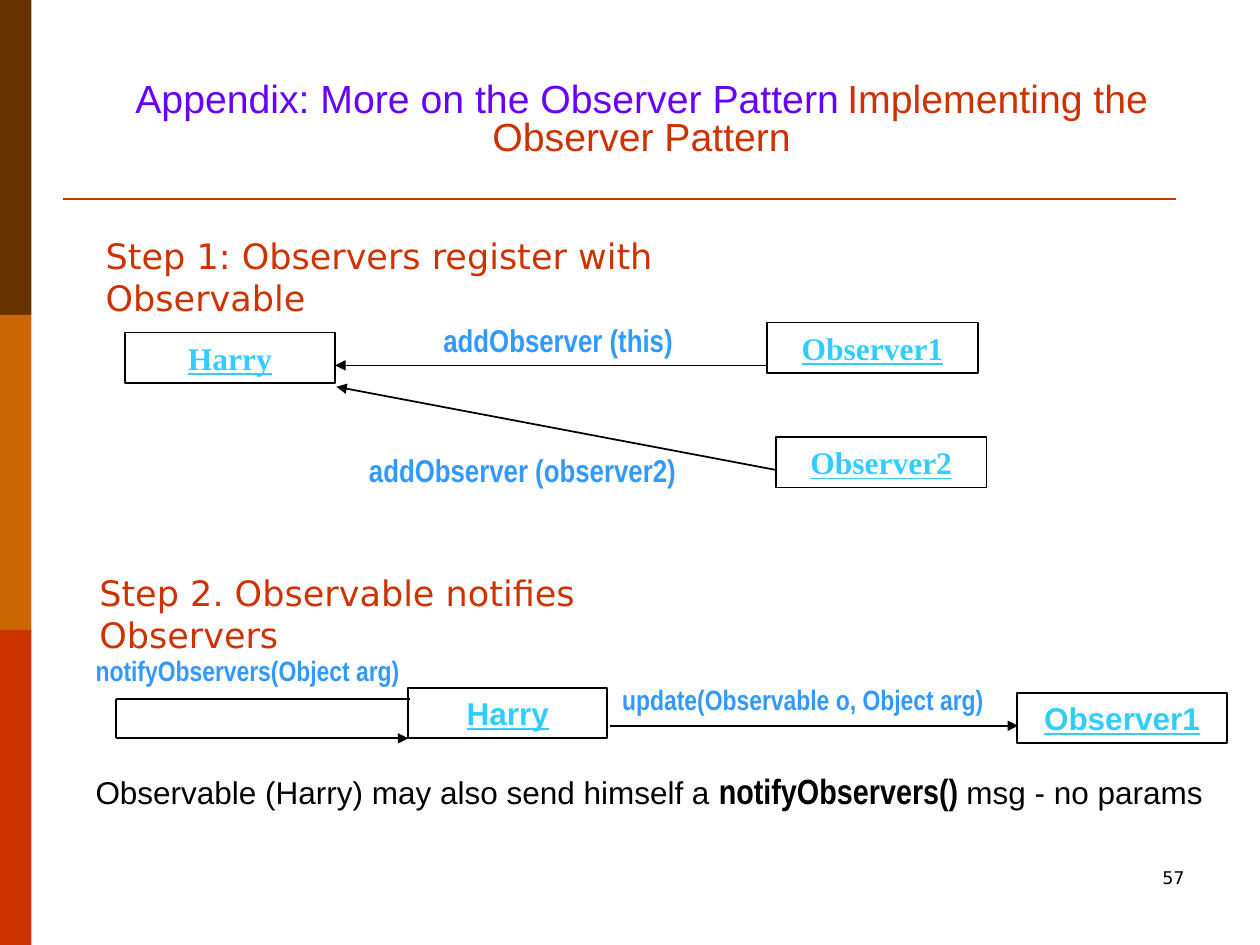
from pptx import Presentation
from pptx.dml.color import RGBColor
from pptx.enum.shapes import MSO_CONNECTOR, MSO_SHAPE
from pptx.enum.text import MSO_ANCHOR, MSO_AUTO_SIZE, PP_ALIGN
from pptx.oxml.ns import qn
from pptx.util import Inches, Pt
from lxml import etree

STRAIGHT = MSO_CONNECTOR.STRAIGHT
RECTANGLE = MSO_SHAPE.RECTANGLE
LEFT, CENTER, RIGHT = PP_ALIGN.LEFT, PP_ALIGN.CENTER, PP_ALIGN.RIGHT
TOP, MIDDLE = MSO_ANCHOR.TOP, MSO_ANCHOR.MIDDLE
NO_AUTOFIT = MSO_AUTO_SIZE.NONE

COLORS = {
    "brown": "663300", "orange": "CC6600", "red": "CC3300", "violet": "6600FF",
    "blue": "3399FF", "cyan": "33CCFF", "black": "000000",
}
SANS, NARROW, SERIF, WIDE = "Arial", "Arial Narrow", "Times New Roman", "DejaVu Sans"


def write_text(shape, spans, align=LEFT, anchor=TOP):
    """Fill a shape with one paragraph of (text, font, size, color, extras) spans."""
    frame = shape.text_frame
    frame.word_wrap = True
    frame.auto_size = NO_AUTOFIT
    frame.vertical_anchor = anchor
    para = frame.paragraphs[0]
    para.alignment = align
    for text, name, size, color, extras in spans:
        span = para.add_run()
        span.text = text
        span.font.color.rgb = RGBColor.from_string(COLORS[color])
        for key, value in {"name": name, "size": Pt(size), **extras}.items():
            setattr(span.font, key, value)
    return para


def add_line(start, end, color="black", width=0.99, arrow=False):
    """Draw a straight line, with an arrowhead at its end if asked."""
    line = slide.shapes.add_connector(STRAIGHT, *map(Inches, start + end))
    line.line.color.rgb = RGBColor.from_string(COLORS[color])
    line.line.width = Pt(width)
    if arrow:
        etree.SubElement(line.line._get_or_add_ln(), qn("a:tailEnd"), type="triangle")
    etree.SubElement(line._element.spPr, qn("a:effectLst"))


deck = Presentation()
deck.slide_width, deck.slide_height = Inches(10), Inches(7.5)
slide = deck.slides.add_slide(deck.slide_layouts[5])

# Side bands and title rule
for index, color in enumerate(("brown", "orange", "red")):
    band = slide.shapes.add_shape(
        RECTANGLE, 0, Inches(2.5 * index), Inches(0.25), Inches(2.5))
    band.shadow.inherit = False
    band.fill.solid()
    band.fill.fore_color.rgb = RGBColor.from_string(COLORS[color])
    band.line.fill.background()
add_line((0.5, 1.58), (9.33, 1.58), "red", 1.5)

# Title
title = slide.shapes.title
title.left, title.top, title.width, title.height = map(Inches, (0.51, 0.5, 9.17, 0.92))
title_para = write_text(title, [
    ("Appendix: More on the Observer Pattern", SANS, 22.4, "violet", {}),
    (" ", WIDE, 12.6, "black", {}),
    ("Implementing the Observer Pattern", SANS, 22.4, "red", {}),
], CENTER, MIDDLE)
title_para.line_spacing = 0.8

# Object boxes
object_boxes = [
    ("Harry", SERIF, 0.99, 2.64, 1.67),
    ("Observer1", SERIF, 6.09, 2.56, 1.67),
    ("Observer2", SERIF, 6.16, 3.47, 1.67),
    ("Harry", SANS, 3.24, 5.46, 1.58),
    ("Observer1", SANS, 8.07, 5.5, 1.67),
]
for name, font, left, top, width in object_boxes:
    box = slide.shapes.add_shape(RECTANGLE, *map(Inches, (left, top, width, 0.4)))
    box.shadow.inherit = False
    box.fill.background()
    box.line.color.rgb = RGBColor.from_string(COLORS["black"])
    box.line.width = Pt(0.99)
    write_text(box, [(name, font, 18, "cyan", {"bold": True, "underline": True})], CENTER)

# Message arrows, the last three lines forming the loop back to Harry
message_lines = [
    ((6.09, 2.9), (2.66, 2.9), True),
    ((6.16, 3.73), (2.67, 3.07), True),
    ((4.84, 5.76), (8.08, 5.76), True),
    ((3.25, 5.55), (0.92, 5.55), False),
    ((0.92, 5.55), (0.92, 5.86), False),
    ((0.92, 5.86), (3.24, 5.86), True),
]
for start, end, arrow in message_lines:
    add_line(start, end, arrow=arrow)

# Step headings, message labels, closing remark and page number
bold = {"bold": True}
texts = [
    ((0.74, 1.81, 5.79, 0.44), LEFT,
     [("Step 1: Observers register with Observable", WIDE, 20, "red", {})]),
    ((0.69, 4.49, 5.1, 0.44), LEFT,
     [("Step 2. Observable notifies Observers", WIDE, 20, "red", {})]),
    ((3.42, 2.5, 2.08, 0.4), LEFT, [("addObserver (this)", NARROW, 18, "blue", bold)]),
    ((2.83, 3.53, 2.67, 0.4), LEFT,
     [("addObserver (observer2)", NARROW, 18, "blue", bold)]),
    ((4.84, 5.37, 3.24, 0.36), LEFT,
     [("update(Observable o, Object arg)", NARROW, 16, "blue", bold)]),
    ((0.66, 5.14, 2.75, 0.36), LEFT,
     [("notifyObservers(Object arg)", NARROW, 16, "blue", bold)]),
    ((0.66, 6.06, 9.25, 0.43), LEFT, [
        ("Observable (Harry) may also send himself a", SANS, 18, "black", {}),
        (" ", SERIF, 20, "black", {}),
        ("notifyObservers() ", NARROW, 20, "black", bold),
        ("msg - no params", SANS, 18, "black", {}),
    ]),
    ((7.17, 6.83, 2.33, 0.5), RIGHT, [("57", WIDE, 10, "black", {})]),
]
for place, align, spans in texts:
    write_text(slide.shapes.add_textbox(*map(Inches, place)), spans, align)

deck.save("out.pptx")
